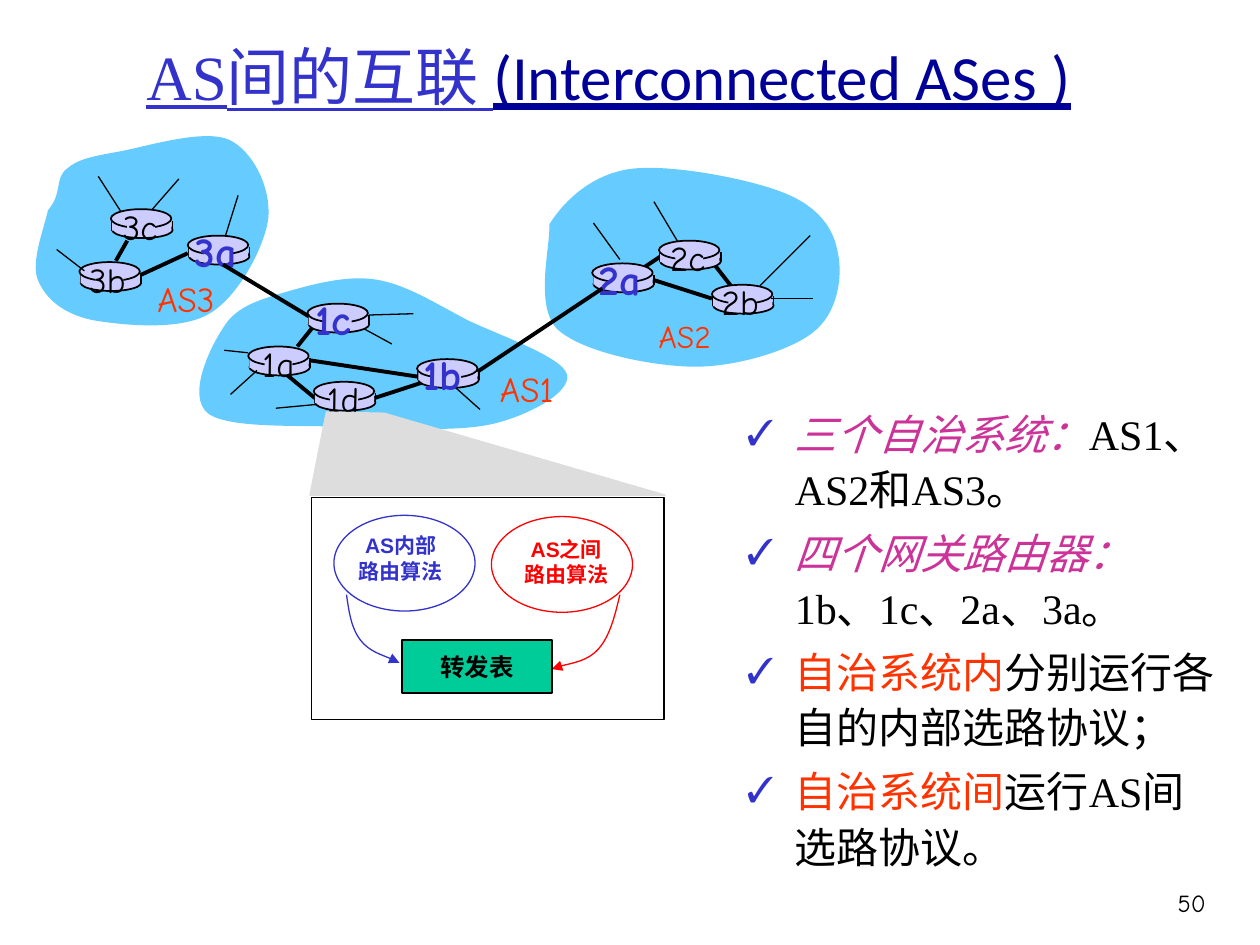
from dataclasses import dataclass

from lxml import etree
from pptx import Presentation
from pptx.dml.color import RGBColor
from pptx.enum.shapes import MSO_CONNECTOR, MSO_SHAPE
from pptx.enum.text import MSO_ANCHOR, MSO_AUTO_SIZE, PP_ALIGN
from pptx.oxml.ns import qn
from pptx.slide import Slide
from pptx.util import Cm, Pt

BLACK, BLUE, RED, ORANGE, PINK = "000000", "3333CC", "FF0000", "FF3300", "CC3399"
SKY, LILAC, GREEN, GREY = "66CCFF", "CCCCFF", "00CC99", "DDDDDD"
HAND, SANS, SERIF = "Comic Neue", "Arial", "Times New Roman"


def inch(v):
    return Cm(v * 2.54)


def rgb(color):
    return RGBColor.from_string(color)


def paint(sp, fill=None, line=None, width=0.75):
    sp.shadow.inherit = False
    if fill:
        sp.fill.solid()
        sp.fill.fore_color.rgb = rgb(fill)
    else:
        sp.fill.background()
    if line:
        sp.line.color.rgb = rgb(line)
        sp.line.width = Pt(width)
    else:
        sp.line.fill.background()


def style(r, size, color, font, bold=False, italic=False, underline=False):
    f = r.font
    f.size, f.name, f.bold, f.italic, f.underline = Pt(size), font, bold, italic, underline
    f.color.rgb = rgb(color)


def write(tf, text, size, color, font, bold=False, align=PP_ALIGN.LEFT):
    tf.text = text
    tf.word_wrap = False
    for p in tf.paragraphs:
        p.alignment = align
        style(p.runs[0], size, color, font, bold)


def bend(sp):
    """Turn every three line segments of a freeform into one cubic curve."""
    segments = list(sp._element.iter(qn("a:lnTo")))
    for i in range(0, len(segments), 3):
        curve = segments[i]
        curve.tag = qn("a:cubicBezTo")
        for extra in segments[i + 1:i + 3]:
            curve.append(extra[0])
            extra.getparent().remove(extra)


@dataclass
class Area:
    """A region of the slide; its parts are placed from its top left corner."""
    s: Slide
    left: float
    top: float

    def point(self, x, y):
        return inch(self.left + x), inch(self.top + y)

    def shape(self, kind, x, y, w, h, **look):
        sp = self.s.shapes.add_shape(kind, *self.point(x, y), inch(w), inch(h))
        paint(sp, **look)
        return sp

    def text(self, x, y, w, h, *args, **kwargs):
        sp = self.s.shapes.add_textbox(*self.point(x, y), inch(w), inch(h))
        write(sp.text_frame, *args, **kwargs)

    def line(self, x1, y1, x2, y2, width):
        c = self.s.shapes.add_connector(
            MSO_CONNECTOR.STRAIGHT, *self.point(x1, y1), *self.point(x2, y2))
        c.line.color.rgb = rgb(BLACK)
        c.line.width = Pt(width)
        etree.SubElement(c._element.spPr, qn("a:effectLst"))

    def outline(self, points, close=True, curved=False, **look):
        emu = [self.point(*p) for p in points]
        fb = self.s.shapes.build_freeform(*emu[0])
        fb.add_line_segments(emu[1:], close=False)
        if close:
            fb.add_line_segments([], close=True)
        sp = fb.convert_to_shape()
        if curved:
            bend(sp)
        paint(sp, **look)
        return sp


def add_router(area, name, x, y, label_w, gateway):
    oval, rect = MSO_SHAPE.OVAL, MSO_SHAPE.RECTANGLE
    area.shape(oval, x + 0.01, y + 0.1, 0.48, 0.13, fill=LILAC, line=BLACK, width=1)
    for side in (x + 0.01, x + 0.49):
        area.line(side, y + 0.09, side, y + 0.17, 1)
    area.shape(rect, x + 0.01, y + 0.09, 0.47, 0.08, fill=LILAC)
    area.shape(oval, x, y, 0.48, 0.15, fill=LILAC, line=BLACK, width=1)
    area.shape(rect, x + 0.13, y + 0.02, 0.22, 0.19, fill=LILAC)
    label_x = x + 0.25 - label_w / 2
    if gateway:
        area.text(label_x, y - 0.13, label_w, 0.5, name, 24, BLUE, HAND, True)
    else:
        area.text(label_x, y - 0.08, label_w, 0.43, name, 20, BLACK, HAND)


def add_system(area, name, size, label, cloud, links, routers, stubs):
    area.outline(cloud, curved=True, fill=SKY)
    for link in links:
        area.line(*link, 2.25)
    for router in routers:
        add_router(area, *router)
    for stub in stubs:
        area.line(*stub, 0.75)
    area.text(*label, 0.74, 0.43, name, size, ORANGE, HAND)


def add_forwarding_panel(area):
    # Zoom wedge and frame
    area.outline([(0, 0.66), (0.13, 0), (0.59, 0.01), (2.82, 0.66)], fill=GREY, line=GREY)
    area.shape(MSO_SHAPE.RECTANGLE, 0.01, 0.68, 2.8, 1.76, line=BLACK)
    # Two routing algorithms, each with an arrow to the table
    algorithms = [
        ("AS内部\n路由算法", BLUE, (0.19, 0.82), (0.28, 0.91, 0.88, 0.51),
         [(0.29, 1.45), (0.31, 1.59), (0.33, 1.72), (0.4, 1.81),
          (0.47, 1.9), (0.66, 1.96), (0.71, 1.99)]),
        ("AS之间\n路由算法", RED, (1.44, 0.83), (1.57, 0.94, 0.93, 0.5),
         [(2.46, 1.45), (2.42, 1.62), (2.38, 1.78), (2.29, 1.88),
          (2.2, 1.98), (1.98, 2.01), (1.92, 2.04)]),
    ]
    for text, color, oval, label, path in algorithms:
        area.shape(MSO_SHAPE.OVAL, *oval, 1.12, 0.76, line=color)
        area.text(*label, text, 12, color, SANS, True, PP_ALIGN.CENTER)
        arrow = area.outline(path, close=False, curved=True, line=color)
        etree.SubElement(arrow.line._get_or_add_ln(), qn("a:tailEnd"), type="triangle")
    # Forwarding table
    sp = area.shape(MSO_SHAPE.RECTANGLE, 0.73, 1.81, 1.19, 0.42, fill=GREEN, line=BLACK)
    write(sp.text_frame, "转发表", 14, BLACK, SANS, True, PP_ALIGN.CENTER)
    sp.text_frame.vertical_anchor = MSO_ANCHOR.MIDDLE


def add_title(s, left, top, w, h):
    sp = s.shapes.title
    sp.left, sp.top, sp.width, sp.height = map(inch, (left, top, w, h))
    tf = sp.text_frame
    tf.auto_size, tf.vertical_anchor = MSO_AUTO_SIZE.NONE, MSO_ANCHOR.MIDDLE
    p = tf.paragraphs[0]
    p.alignment = PP_ALIGN.CENTER
    for text, color, font in (("AS间的互联 ", BLUE, SERIF),
                              ("(Interconnected ASes )", "000099", "Calibri")):
        r = p.add_run()
        r.text = text
        style(r, 36, color, font, underline=True)


def add_bullets(s, left, top, w, h):
    items = [("三个自治系统：", "AS1、AS2和AS3。", PINK),
             ("四个网关路由器：", " 1b、1c、2a、3a。", PINK),
             ("自治系统内", "分别运行各自的内部选路协议；", ORANGE),
             ("自治系统间", "运行AS间选路协议。", ORANGE)]
    tf = s.shapes.add_textbox(*map(inch, (left, top, w, h))).text_frame
    tf.word_wrap = True
    for i, (lead, rest, color) in enumerate(items):
        p = tf.add_paragraph() if i else tf.paragraphs[0]
        p.line_spacing = 1.1
        p.space_before = Pt(4.8 if i else 0)
        pPr = p._p.get_or_add_pPr()
        pPr.set("marL", str(inch(0.38)))
        pPr.set("indent", str(-inch(0.38)))
        etree.SubElement(etree.SubElement(pPr, qn("a:buClr")), qn("a:srgbClr"), val=BLUE)
        etree.SubElement(pPr, qn("a:buSzPct"), val="85000")
        etree.SubElement(pPr, qn("a:buFont"), typeface=SERIF)
        etree.SubElement(pPr, qn("a:buChar"), char="✓")
        for text, c in ((lead, color), (rest, BLACK)):
            r = p.add_run()
            r.text = text
            style(r, 24, c, SERIF, italic=c == PINK)


def main():
    prs = Presentation()
    prs.slide_width, prs.slide_height = inch(10), inch(7.5)
    s = prs.slides.add_slide(prs.slide_layouts[5])
    add_title(s, 0.58, 0.13, 8.5, 0.93)
    # Autonomous systems
    add_system(
        Area(s, 4.24, 1.3), "AS2", 18, (0.89, 1.17),
        [(0.12, 0.48), (0.24, 0.29), (0.46, 0.08), (0.77, 0.04), (1.08, 0), (1.71, 0.12),
         (1.98, 0.23), (2.26, 0.34), (2.38, 0.52), (2.41, 0.71), (2.45, 0.89), (2.41, 1.19),
         (2.21, 1.34), (2.02, 1.49), (1.57, 1.62), (1.24, 1.61), (0.9, 1.6), (0.37, 1.49),
         (0.18, 1.31), (0, 1.12), (0.13, 0.65), (0.12, 0.48)],
        [(0.94, 0.92, 1.41, 1.07), (1.43, 0.8, 1.57, 0.98), (0.83, 0.85, 1.01, 0.73)],
        [("2a", 0.46, 0.79, 0.59, True), ("2c", 0.99, 0.61, 0.52, False),
         ("2b", 1.41, 0.96, 0.54, False)],
        [(1.88, 1.07, 2.21, 1.07), (1.79, 0.97, 2.19, 0.57),
         (1.14, 0.62, 0.95, 0.3), (0.68, 0.76, 0.47, 0.47)])
    add_system(
        Area(s, 0.24, 1.02), "AS3", 20, (0.91, 1.13),
        [(0.14, 0.65), (0.26, 0.51), (0.19, 0.4), (0.29, 0.32), (0.38, 0.24), (0.5, 0.22),
         (0.72, 0.18), (0.93, 0.14), (1.38, 0), (1.58, 0.09), (1.77, 0.18), (1.91, 0.47),
         (1.89, 0.71), (1.86, 0.94), (1.65, 1.34), (1.42, 1.47), (1.19, 1.61), (0.72, 1.56),
         (0.49, 1.52), (0.26, 1.47), (0.12, 1.35), (0.06, 1.2), (0, 1.06), (0.12, 0.76),
         (0.14, 0.65)],
        [(0.86, 1.17, 1.25, 0.99), (0.77, 0.89, 0.68, 1.05)],
        [("3b", 0.39, 1.06, 0.54, False), ("3a", 1.25, 0.85, 0.59, True),
         ("3c", 0.64, 0.64, 0.51, False)],
        [(0.21, 0.96, 0.43, 1.13), (1.18, 0.4, 0.97, 0.64),
         (0.54, 0.38, 0.72, 0.66), (1.65, 0.53, 1.55, 0.85)])
    add_system(
        Area(s, 1.48, 2.18), "AS1", 20, (2.39, 0.69),
        [(0.3, 0.41), (0.4, 0.25), (0.58, 0.2), (0.78, 0.14), (0.99, 0.08), (1.27, 0),
         (1.51, 0.04), (1.75, 0.08), (1.98, 0.23), (2.23, 0.36), (2.48, 0.48), (2.98, 0.65),
         (3.02, 0.79), (3.06, 0.93), (2.73, 1.11), (2.45, 1.18), (2.17, 1.25), (1.71, 1.22),
         (1.33, 1.21), (0.95, 1.19), (0.34, 1.23), (0.17, 1.1), (0, 0.96), (0.19, 0.57),
         (0.3, 0.41)],
        [(1.49, 0.98, 1.89, 0.85), (0.79, 0.79, 1.02, 0.98),
         (0.98, 0.68, 1.84, 0.81), (0.88, 0.57, 1, 0.42)],
        [("1d", 1.01, 0.85, 0.49, False), ("1c", 0.96, 0.23, 0.57, True),
         ("1a", 0.49, 0.57, 0.47, False), ("1b", 1.83, 0.67, 0.6, True)],
        [(0.56, 0.76, 0.35, 0.95), (0.49, 0.62, 0.3, 0.6), (1.03, 1.03, 0.71, 1.06),
         (1.45, 0.32, 1.8, 0.31), (2.14, 0.9, 2.33, 1.07), (1.41, 0.43, 1.63, 0.55)])
    # Links between gateways
    page = Area(s, 0, 0)
    page.line(1.77, 2.1, 2.45, 2.51, 2.25)
    page.line(3.79, 2.95, 4.78, 2.29, 2.25)
    add_forwarding_panel(Area(s, 2.46, 3.27))
    add_bullets(s, 5.83, 3.15, 3.94, 4.06)
    # Slide number
    page.text(8.93, 7, 0.74, 0.5, "50", 14, BLACK, HAND, align=PP_ALIGN.RIGHT)
    prs.save("out.pptx")


if __name__ == "__main__":
    main()
